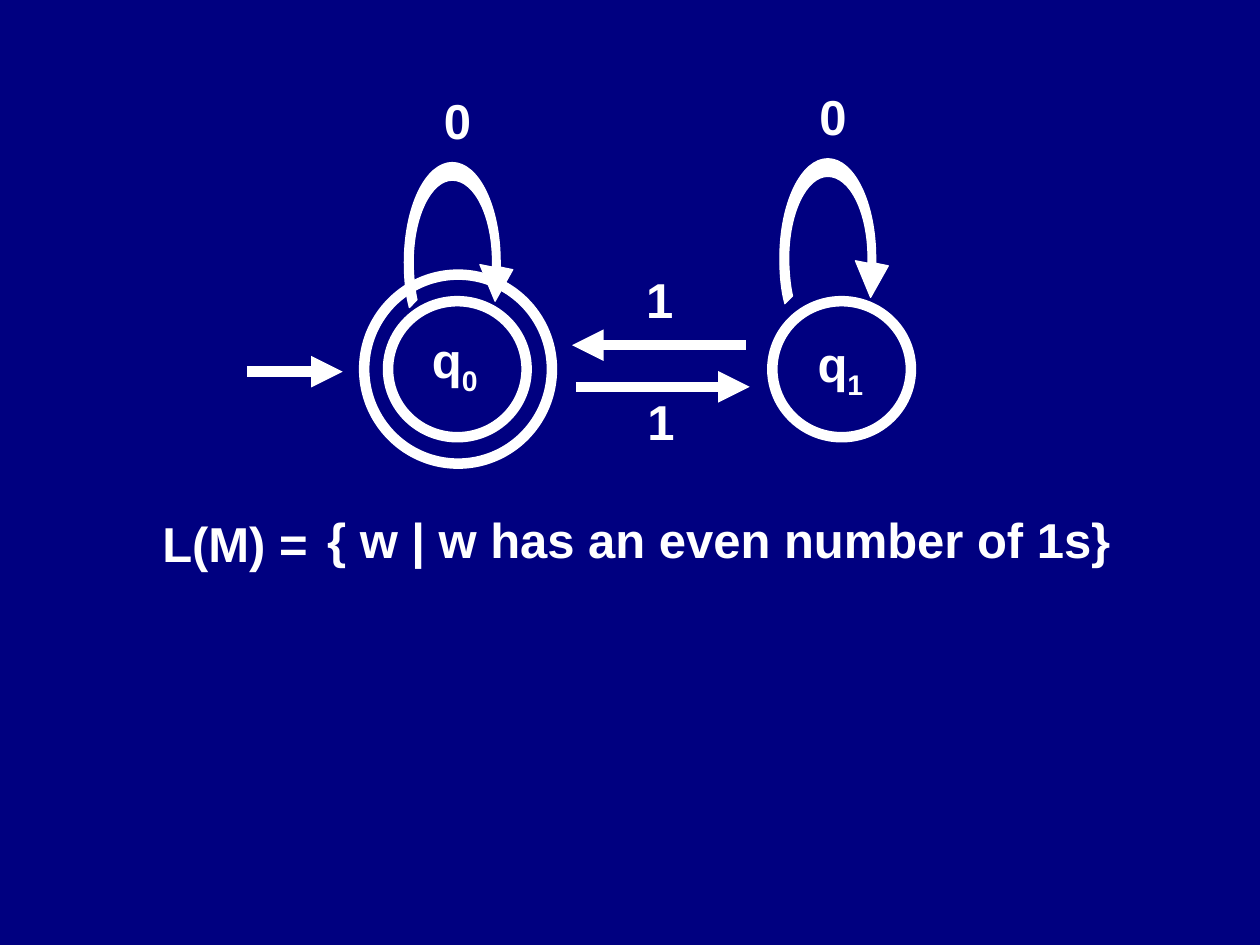
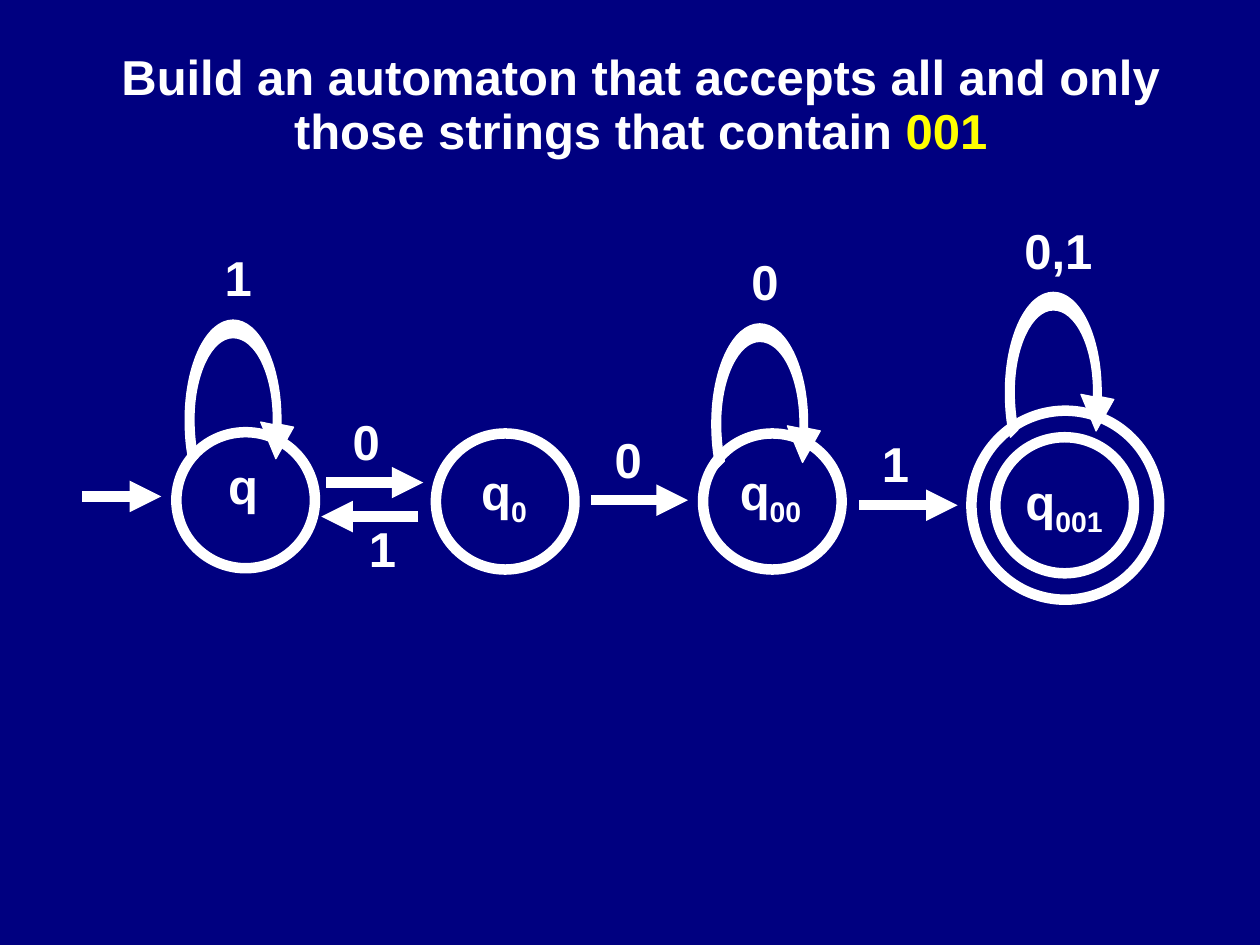
"""Builds two slides with finite automaton diagrams."""
from lxml import etree
from pptx import Presentation
from pptx.dml.color import RGBColor
from pptx.enum.shapes import MSO_CONNECTOR, MSO_SHAPE
from pptx.enum.text import MSO_AUTO_SIZE, PP_ALIGN
from pptx.oxml.ns import qn
from pptx.util import Inches, Pt

STRAIGHT = MSO_CONNECTOR.STRAIGHT
OVAL = MSO_SHAPE.OVAL
CENTER = PP_ALIGN.CENTER
FIT_SHAPE = MSO_AUTO_SIZE.SHAPE_TO_FIT_TEXT

COLORS = {"back": "000080", "white": "FFFFFF", "accent": "FFFF00"}
FONT = "Arial"
TEXT_SIZE = 28
STROKE = 6
CIRCLE = (1.1, 1.08)
RING = (1.49, 1.5)
LETTER_WIDTH = 0.41
LOOP_START = (0.7, 0.83)
LOOP_SEGMENTS = [
    [(0.7, 0.81), (0.7, 0.8), (0.7, 0.79)],
    [(0.7, 0.43), (0.56, 0.14), (0.38, 0.14)],
    [(0.21, 0.14), (0.07, 0.43), (0.07, 0.79)],
    [(0.07, 0.89), (0.08, 1.0), (0.1, 1.09)],
    [(0.04, 1.15)],
    [(0.01, 1.04), (0, 0.92), (0, 0.79)],
    [(0, 0.35), (0.17, 0), (0.38, 0)],
    [(0.59, 0), (0.76, 0.35), (0.76, 0.79)],
    [(0.76, 0.8), (0.76, 0.82), (0.76, 0.83)],
    [(0.86, 0.85)],
    [(0.72, 1.1)],
    [(0.6, 0.81)],
]


def color(name):
    return RGBColor.from_string(COLORS[name])


def add_run(p, text, fill="white", subscript=False):
    r = p.add_run()
    r.text = text
    r.font.name = FONT
    r.font.size = Pt(TEXT_SIZE)
    r.font.bold = True
    r.font.color.rgb = color(fill)
    if subscript:
        r._r.get_or_add_rPr().set("baseline", "-25000")


def add_text(s, text, left, top, width=LETTER_WIDTH, height=0.54,
             wrap=False, sub="", accent=""):
    sp = s.shapes.add_textbox(Inches(left), Inches(top), Inches(width), Inches(height))
    tf = sp.text_frame
    tf.word_wrap = wrap
    tf.auto_size = FIT_SHAPE
    p = tf.paragraphs[0]
    p.alignment = CENTER
    p.line_spacing = 0.93
    add_run(p, text)
    if sub:
        add_run(p, sub, subscript=True)
    if accent:
        add_run(p, accent, fill="accent")


def style_line(line, width):
    line.color.rgb = color("white")
    line.width = Pt(width)


def add_circle(s, left, top, size):
    sp = s.shapes.add_shape(OVAL, Inches(left), Inches(top), *map(Inches, size))
    sp.shadow.inherit = False
    sp.fill.background()
    style_line(sp.line, STROKE)


def add_state(s, left, top, label, sub="", accepting=False):
    add_circle(s, left, top, CIRCLE)
    if accepting:
        add_circle(s, left - 0.19, top - 0.21, RING)
    add_text(s, "q", *label, height=0.6 if sub else 0.54, sub=sub)


def add_arrow(s, x1, y1, x2, y2):
    cxn = s.shapes.add_connector(STRAIGHT, *map(Inches, (x1, y1, x2, y2)))
    style_line(cxn.line, STROKE)
    etree.SubElement(cxn.line._get_or_add_ln(), qn("a:tailEnd"), type="triangle")
    etree.SubElement(cxn._element.spPr, qn("a:effectLst"))


def bend_segments(sp, segments):
    lines = list(sp._element.iter(qn("a:lnTo")))
    for line, points in zip(lines, segments):
        if len(points) == 3:
            curve = etree.Element(qn("a:cubicBezTo"))
            for x, y in points:
                etree.SubElement(curve, qn("a:pt"), x=str(Inches(x)), y=str(Inches(y)))
            line.getparent().replace(line, curve)


def add_loop(s, left, top, text, width=LETTER_WIDTH):
    corners = [LOOP_START] + [points[-1] for points in LOOP_SEGMENTS]
    corners = [(Inches(x), Inches(y)) for x, y in corners]
    builder = s.shapes.build_freeform(*corners[0])
    builder.add_line_segments(corners[1:], close=True)
    sp = builder.convert_to_shape(Inches(left), Inches(top))
    bend_segments(sp, LOOP_SEGMENTS)
    sp.shadow.inherit = False
    sp.fill.solid()
    sp.fill.fore_color.rgb = color("white")
    style_line(sp.line, 0.75)
    add_text(s, text, left + 0.42 - width / 2, top - 0.58, width)


def build_even_ones(s):
    add_state(s, 3.08, 2.39, (3.33, 2.57, 0.56), "0", accepting=True)
    add_state(s, 6.13, 2.39, (6.39, 2.6, 0.56), "1")
    add_loop(s, 3.21, 1.29, "0")
    add_loop(s, 6.19, 1.26, "0")
    add_arrow(s, 1.96, 2.95, 2.72, 2.95)
    add_arrow(s, 5.92, 2.74, 4.54, 2.74)
    add_arrow(s, 4.57, 3.07, 5.95, 3.07)
    add_text(s, "1", 5.04, 3.1)
    add_text(s, "1", 5.03, 2.13)
    add_text(s, "L(M) =", 1.17, 4.07, 1.39)
    add_text(s, "{ w | w has an even number of 1s}", 2.48, 4.04, 6.45)


def build_contains_001(s):
    add_state(s, 1.4, 3.43, (1.71, 3.61, 0.44))
    add_state(s, 3.46, 3.44, (3.72, 3.61, 0.56), "0")
    add_state(s, 5.58, 3.44, (5.77, 3.61, 0.69), "00")
    add_state(s, 7.9, 3.47, (8.04, 3.69, 0.81), "001", accepting=True)
    add_loop(s, 1.47, 2.54, "1")
    add_loop(s, 5.65, 2.57, "0")
    add_loop(s, 7.98, 2.32, "0,1", 0.74)
    add_arrow(s, 0.65, 3.94, 1.28, 3.94)
    add_arrow(s, 2.59, 3.83, 3.36, 3.83)
    add_arrow(s, 3.32, 4.1, 2.55, 4.1)
    add_arrow(s, 4.69, 3.97, 5.46, 3.97)
    add_arrow(s, 6.82, 4.01, 7.6, 4.01)
    add_text(s, "0", 2.7, 3.26)
    add_text(s, "1", 2.83, 4.11)
    add_text(s, "0", 4.78, 3.4)
    add_text(s, "1", 6.9, 3.43)
    add_text(s, "Build an automaton that accepts all and only those strings that contain ",
             0.7, 0.36, 8.77, 0.97, wrap=True, accent="001")


def main():
    prs = Presentation()
    prs.slide_width, prs.slide_height = Inches(10), Inches(7.5)
    fill = prs.slide_master.background.fill
    fill.solid()
    fill.fore_color.rgb = color("back")
    for build in (build_even_ones, build_contains_001):
        build(prs.slides.add_slide(prs.slide_layouts[6]))
    prs.save("out.pptx")


main()
